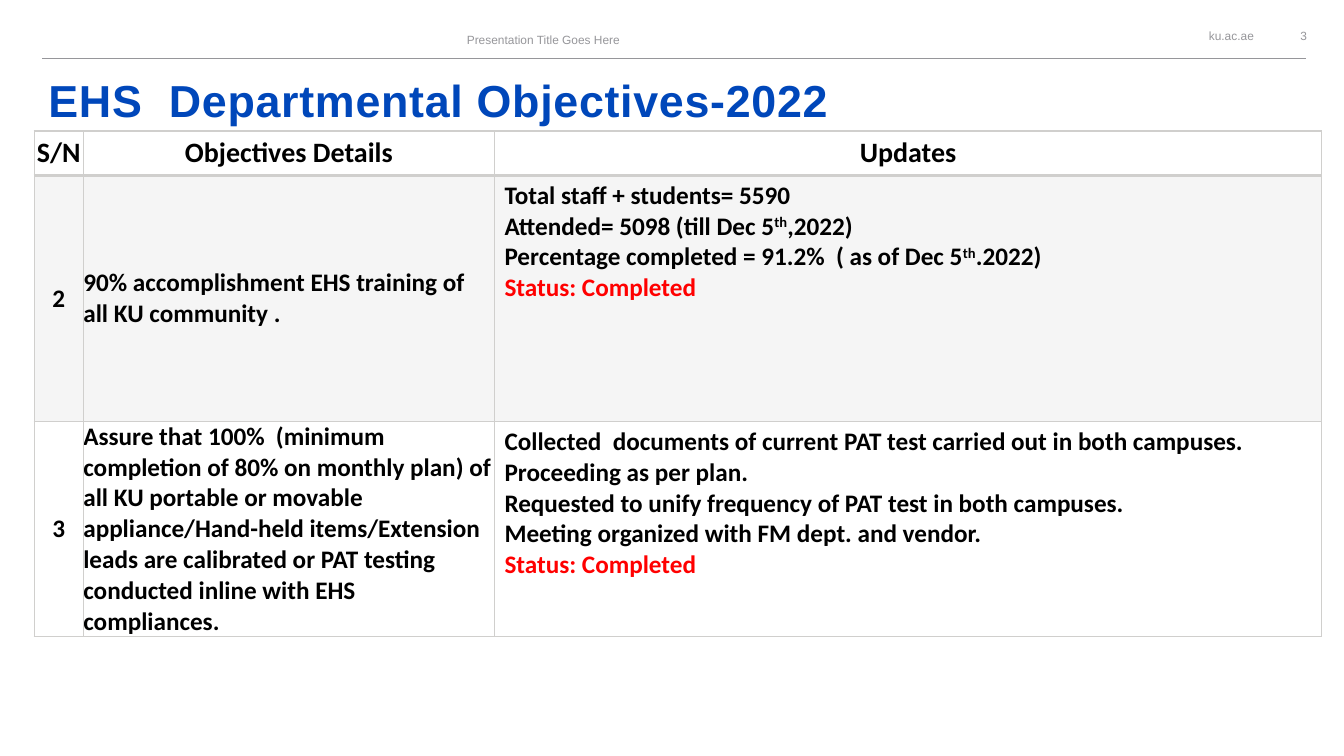
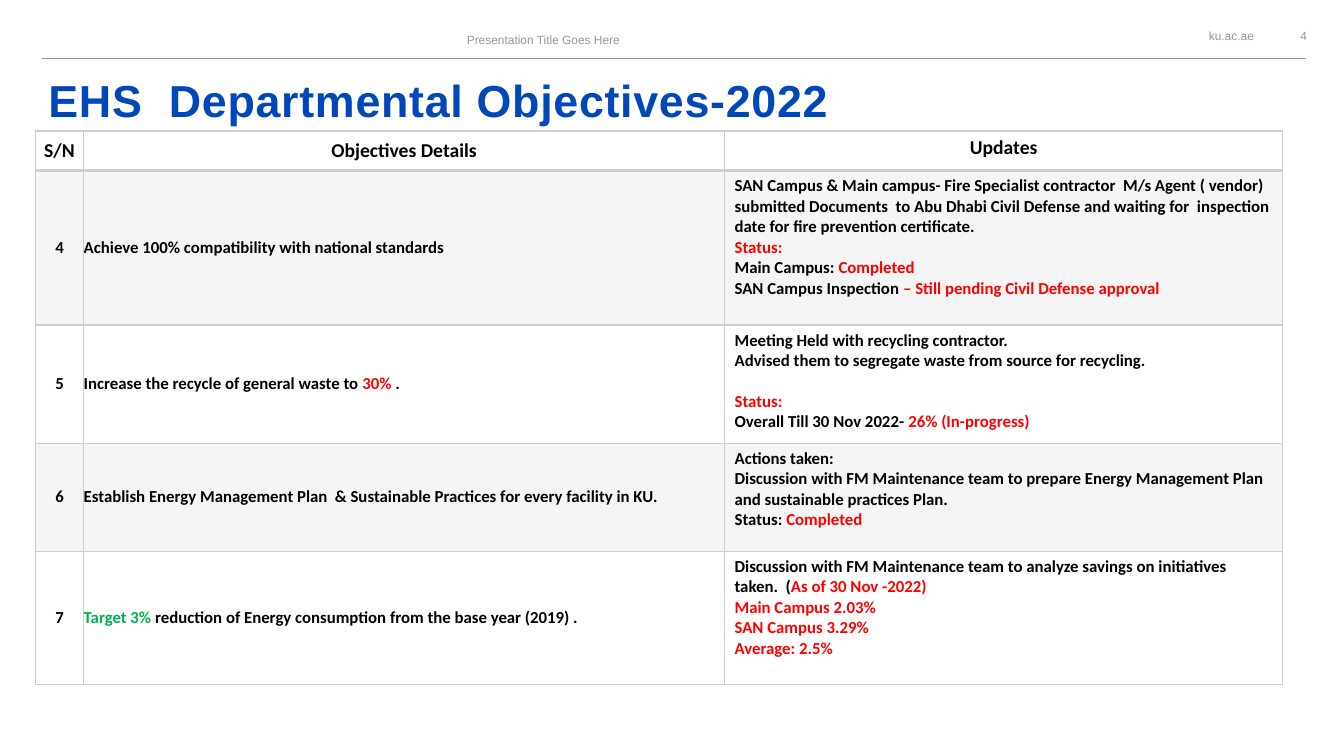
from collections import namedtuple

from lxml.etree import SubElement
from pptx import Presentation
from pptx.dml.color import RGBColor
from pptx.enum.shapes import MSO_CONNECTOR
from pptx.enum.text import MSO_ANCHOR, PP_ALIGN
from pptx.oxml.ns import qn
from pptx.util import Cm, Pt

COLORS = {
    "title": "0047BA",
    "muted": "96969A",
    "border": "D0CFCD",
    "black": "000000",
    "red": "FF0000",
    "green": "00B050",
}
HEADINGS = ["S/N", "Objectives Details", "Updates"]
TABLE_TOP = 3.3

Run = namedtuple("Run", "text color raised", defaults=("black", False))
Line = namedtuple("Line", "runs gap", defaults=(0,))
Objective = namedtuple("Objective", "number details updates height")


def line(*runs, gap=0):
    return Line([Run(run) if isinstance(run, str) else run for run in runs], gap)


def red(text):
    return Run(text, "red")


def color(name):
    return RGBColor.from_string(COLORS[name])


def add_run(paragraph, content, font_name, size, bold):
    run = paragraph.add_run()
    run.text = content.text
    run.font.name = font_name
    run.font.size = Pt(size)
    run.font.bold = bold
    run.font.color.rgb = color(content.color)
    if content.raised:
        run.font._element.set("baseline", "30000")
    return run


def fill_text(text_frame, lines, size, align):
    for index, content in enumerate(lines):
        paragraph = text_frame.paragraphs[0] if index == 0 else text_frame.add_paragraph()
        paragraph.alignment = align
        if content.gap:
            paragraph.space_before = Pt(content.gap)
        for run in content.runs:
            add_run(paragraph, run, "Calibri", size, True)


def add_label(slide, text, box, size, color_name, align, anchor=MSO_ANCHOR.MIDDLE, bold=False):
    text_frame = slide.shapes.add_textbox(*map(Cm, box)).text_frame
    text_frame.word_wrap = True
    text_frame.vertical_anchor = anchor
    text_frame.margin_left = text_frame.margin_right = 0
    text_frame.margin_top = text_frame.margin_bottom = 0
    paragraph = text_frame.paragraphs[0]
    paragraph.alignment = align
    return add_run(paragraph, Run(text, color_name), "Arial", size, bold)


def add_rule(slide):
    rule = slide.shapes.add_connector(
        MSO_CONNECTOR.STRAIGHT, Cm(1.07), Cm(1.47), Cm(32.92), Cm(1.47)
    )
    rule.line.color.rgb = color("muted")
    rule.line.width = Pt(0.75)
    SubElement(rule._element.spPr, qn("a:effectLst"))


def add_frame(slide, number):
    add_label(slide, "ku.ac.ae", (28.93, 0.56, 2.67, 0.69), 8.5, "muted", PP_ALIGN.RIGHT)
    add_rule(slide)
    title = add_label(
        slide, "EHS  Departmental Objectives-2022", (1.22, 1.45, 26.64, 1.75),
        32, "title", PP_ALIGN.LEFT, MSO_ANCHOR.BOTTOM, True,
    )
    title.font._element.set("spc", "50")
    add_label(
        slide, "Presentation Title Goes Here", (7.98, 0.66, 11.43, 0.69),
        8.5, "muted", PP_ALIGN.CENTER,
    )
    add_label(slide, str(number), (32.13, 0.56, 1.45, 0.69), 8.5, "muted", PP_ALIGN.CENTER)


def add_solid_fill(parent, color_name):
    fill = SubElement(parent, qn("a:solidFill"))
    SubElement(fill, qn("a:srgbClr"), val=COLORS[color_name])


def set_borders(cell, top, bottom):
    properties = cell._tc.get_or_add_tcPr()
    for side, width in (("L", 1), ("R", 1), ("T", top), ("B", bottom)):
        border = SubElement(properties, qn(f"a:ln{side}"), w=str(Pt(width)))
        add_solid_fill(border, "border")


def set_fill(cell, shaded):
    if not shaded:
        cell.fill.background()
        return
    cell.fill.solid()
    cell.fill.fore_color.rgb = color("border")
    tint = cell._tc.tcPr.find(f"{qn('a:solidFill')}/{qn('a:srgbClr')}")
    SubElement(tint, qn("a:alpha"), val="20000")


def fill_cell(cell, lines, size, row, column):
    if column < 2:
        cell.margin_left = cell.margin_right = 0
        cell.margin_top = cell.margin_bottom = 0
        cell.vertical_anchor = MSO_ANCHOR.MIDDLE
    centered = row == 0 or column == 0
    fill_text(cell.text_frame, lines, size, PP_ALIGN.CENTER if centered else PP_ALIGN.LEFT)
    set_borders(cell, 2 if row == 1 else 1, 2 if row == 0 else 1)
    set_fill(cell, row % 2 == 1)


def add_objectives(slide, left, widths, header_height, header_size, body_size, objectives):
    heights = [header_height] + [objective.height for objective in objectives]
    rows = [[[line(heading)] for heading in HEADINGS]]
    rows += [
        [[line(str(item.number))], [item.details], item.updates] for item in objectives
    ]
    table = slide.shapes.add_table(
        len(rows), len(widths), Cm(left), Cm(TABLE_TOP), Cm(sum(widths)), Cm(sum(heights))
    ).table
    table.first_row = table.horz_banding = False
    for column, width in zip(table.columns, widths):
        column.width = Cm(width)
    for row_index, (row, height) in enumerate(zip(rows, heights)):
        table.rows[row_index].height = Cm(height)
        size = body_size if row_index else header_size
        for column_index, lines in enumerate(row):
            fill_cell(table.cell(row_index, column_index), lines, size, row_index, column_index)


def add_training_slide(presentation):
    slide = presentation.slides.add_slide(presentation.slide_layouts[6])
    add_frame(slide, 3)
    ordinal = Run("th", raised=True)
    completed = line(red("Status: Completed"))
    add_objectives(slide, 0.86, [1.24, 10.36, 20.85], 1.12, 20, 18, [
        Objective(2, line("90% accomplishment EHS training of all KU community ."), [
            line("Total staff + students= 5590"),
            line("Attended= 5098 (till Dec 5", ordinal, ",2022)"),
            line("Percentage completed = 91.2%  ( as of Dec 5", ordinal, ".2022)"),
            completed,
        ], 6.2),
        Objective(3, line(
            "Assure that 100%  (minimum completion of 80% on monthly plan) of all KU "
            "portable or movable appliance/Hand-held items/Extension leads are calibrated "
            "or PAT testing conducted inline with EHS compliances."
        ), [
            line("Collected  documents of current PAT test carried out in both campuses."),
            line("Proceeding as per plan."),
            line("Requested to unify frequency of PAT test in both campuses."),
            line("Meeting organized with FM dept. and vendor."),
            completed,
        ], 5.42),
    ])


def add_sustainability_slide(presentation):
    slide = presentation.slides.add_slide(presentation.slide_layouts[6])
    add_frame(slide, 4)
    add_objectives(slide, 0.89, [1.22, 16.15, 14.07], 1, 14, 12, [
        Objective(4, line("Achieve 100% compatibility with national standards"), [
            line(
                "SAN Campus & Main campus- Fire Specialist contractor  M/s Agent ( vendor) "
                "submitted Documents  to Abu Dhabi Civil Defense and waiting for  inspection "
                "date for fire prevention certificate."
            ),
            line(red("Status:")),
            line("Main Campus: ", red("Completed")),
            line("SAN Campus Inspection ", red("– Still pending Civil Defense approval")),
        ], 3.89),
        Objective(5, line("Increase the recycle of general waste to ", red("30% "), "."), [
            line("Meeting Held with recycling contractor."),
            line("Advised them to segregate waste from source for recycling."),
            line(red("Status:"), gap=14.65),
            line("Overall Till 30 Nov 2022- ", red("26% (In-progress)")),
        ], 2.98),
        Objective(6, line(
            "Establish Energy Management Plan  & Sustainable Practices for every facility in KU."
        ), [
            line("Actions taken:"),
            line(
                "Discussion with FM Maintenance team to prepare Energy Management Plan "
                "and sustainable practices Plan."
            ),
            line("Status: ", red("Completed")),
        ], 2.72),
        Objective(7, line(
            Run("Target 3% ", "green"),
            "reduction of Energy consumption from the base year (2019) .",
        ), [
            line(
                "Discussion with FM Maintenance team to analyze savings on initiatives taken.  (",
                red("As of 30 Nov -2022)"),
            ),
            line(red("Main Campus 2.03%")),
            line(red("SAN Campus 3.29%")),
            line(red("Average: 2.5%")),
        ], 3.35),
    ])


def main():
    presentation = Presentation()
    presentation.slide_width = Cm(33.87)
    presentation.slide_height = Cm(19.05)
    add_training_slide(presentation)
    add_sustainability_slide(presentation)
    presentation.save("out.pptx")


if __name__ == "__main__":
    main()
